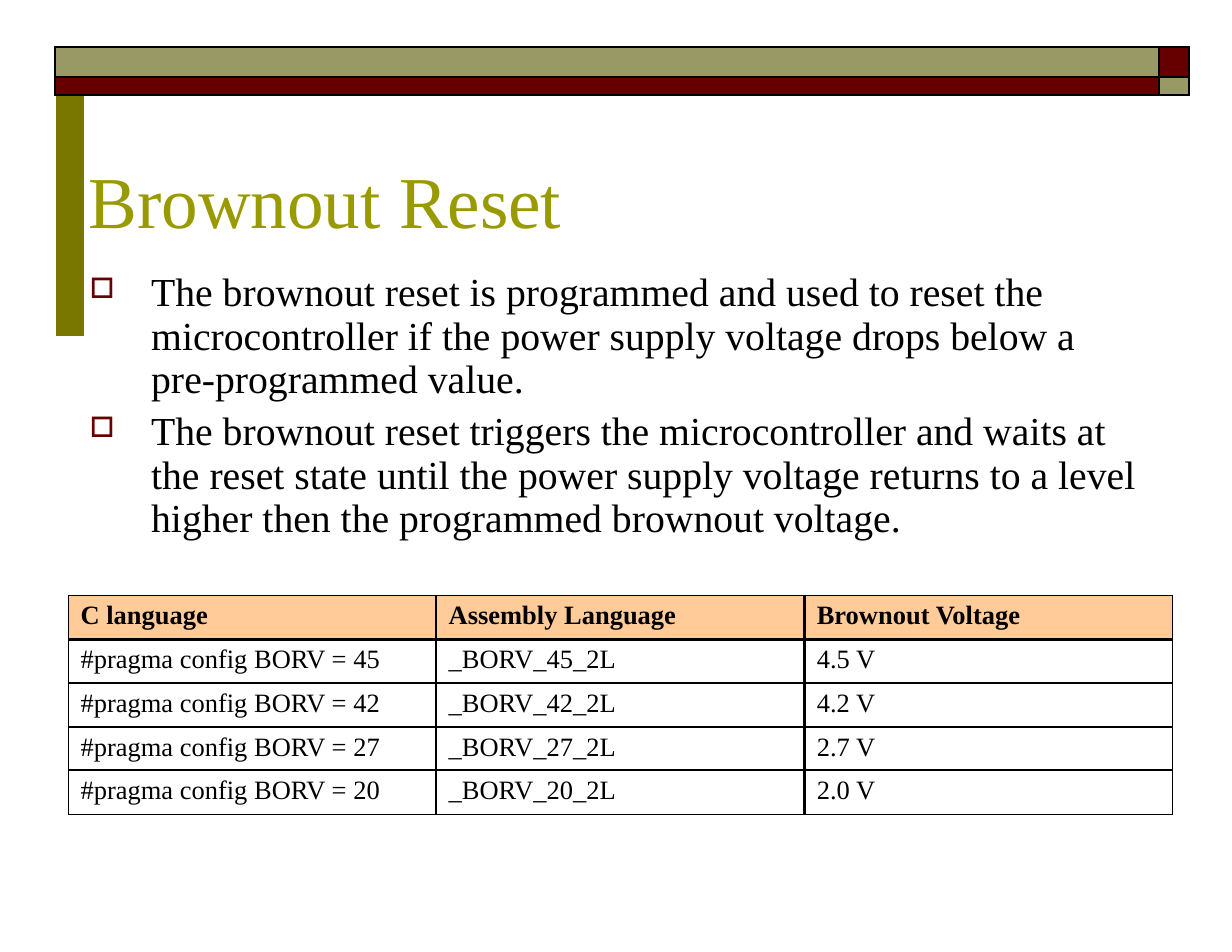
from dataclasses import dataclass
from lxml import etree
from pptx import Presentation
from pptx import util as u
from pptx.dml.color import RGBColor
from pptx.enum import shapes
from pptx.oxml.ns import qn


@dataclass(frozen=True)
class Theme:
    """Colours, type sizes and line widths of the slide."""
    font: str = "Times New Roman"
    ink: str = "000000"
    gold: str = "999900"
    olive: str = "797700"
    sage: str = "999966"
    wine: str = "660000"
    peach: str = "FFCC99"
    title: float = 47
    body: float = 25.5
    cell: float = 17
    tiny: float = 6
    thick: float = 1.5
    thin: float = 0.75


T = Theme()
POINTS = ("The brownout reset is programmed and used to reset the "
          "microcontroller if the power supply voltage drops below a "
          "pre-programmed value.",
          "The brownout reset triggers the microcontroller and waits at "
          "the reset state until the power supply voltage returns to a level "
          "higher then the programmed brownout voltage.")
HEAD = ("C language", "Assembly Language", "Brownout Voltage")
VOLTS = {45: "4.5 V", 42: "4.2 V", 27: "2.7 V", 20: "2.0 V"}


def grid(n):
    """Turn grid steps into a length: 44 columns by 34 rows on the slide."""
    return u.Inches(n / 4)


def node(up, tag, **attrs):
    """Append a drawing element."""
    return etree.SubElement(up, qn("a:" + tag), attrs)


def style(font, size, color=T.ink, bold=False):
    """Set the look of a font."""
    for key, val in {"name": T.font, "size": u.Pt(size), "bold": bold}.items():
        setattr(font, key, val)
    font.color.rgb = RGBColor.from_string(color)


def write(para, words, *look):
    """Put one styled run into a paragraph."""
    run = para.add_run()
    run.text = words
    style(run.font, *look)


def box(slide, area, top):
    """Add a wrapping text box and return its frame."""
    frame = slide.shapes.add_textbox(*map(grid, area)).text_frame
    form = {"word_wrap": True, "margin_left": 0, "margin_right": 0,
            "margin_top": u.Inches(top), "margin_bottom": 0}
    for key, val in form.items():
        setattr(frame, key, val)
    return frame


def bar(slide, area, color):
    """Add a plain filled bar."""
    shape = slide.shapes.add_shape(shapes.MSO_SHAPE.RECTANGLE, *map(grid, area))
    shape.shadow.inherit = False
    shape.fill.solid()
    shape.fill.fore_color.rgb = RGBColor.from_string(color)
    shape.line.fill.background()


def bullets(frame, items):
    """Write hanging paragraphs with square bullets."""
    for i, item in enumerate(items):
        para = frame.add_paragraph() if i else frame.paragraphs[0]
        props = para._p.get_or_add_pPr()
        props.set("marL", str(u.Inches(0.56)))
        props.set("indent", str(-u.Inches(0.55)))
        node(node(props, "buClr"), "srgbClr", val=T.wine)
        node(props, "buSzPct", val="71000")
        node(props, "buChar", char="□")
        para.line_spacing = 0.91
        para.space_before = u.Pt(5.8 if i else 0)
        write(para, item, T.body)


def frame_cell(cell, widths, fill):
    """Draw the four sides of a cell, then its fill."""
    props = cell._tc.get_or_add_tcPr()
    for side, width in zip("LRTB", widths):
        line = node(props, "ln" + side, w=str(u.Pt(width)))
        node(node(line, "solidFill"), "srgbClr", val=T.ink)
    if fill:
        cell.fill.solid()
        cell.fill.fore_color.rgb = RGBColor.from_string(fill)
    else:
        cell.fill.background()


def table(slide, spot, cols, rows):
    """Add an unstyled table with the given column and row steps."""
    made = slide.shapes.add_table(len(rows), len(cols), *map(
        grid, (*spot, sum(cols), sum(rows)))).table
    made.first_row = made.horz_banding = False
    for col, wide in zip(made.columns, cols):
        col.width = grid(wide)
    for row, high in zip(made.rows, rows):
        row.height = grid(high)
    for cell in made.iter_cells():
        for side in ("left", "right", "top", "bottom"):
            setattr(cell, "margin_" + side, 0)
    return made


def band(slide):
    """Add the two-tone band along the top."""
    made = table(slide, (1.96, 1.68), (39.44, 1.08), (1.08, 0.64))
    for i, cell in enumerate(made.iter_cells()):
        frame_cell(cell, [T.thick] * 4, T.sage if i in (0, 3) else T.wine)
        node(cell.text_frame.paragraphs[0]._p, "endParaRPr",
             sz=str(int(T.tiny * 100)))


def volts(slide):
    """Add the table of brownout settings."""
    data = [HEAD] + [(f"#pragma config BORV = {key}", f"_BORV_{key}_2L", val)
                     for key, val in VOLTS.items()]
    wide, high = len(HEAD), len(data)
    made = table(slide, (2.44, 21.28), [39.44 / wide] * wide, [1.56] * high)
    for r, line in enumerate(data):
        for c, words in enumerate(line):
            cell = made.cell(r, c)
            cell.margin_left = u.Inches(0.11)
            cell.margin_top = u.Inches(0.05 if r else 0.04)
            edges = (c == 0, c == wide - 1, r == 0, r == high - 1)
            frame_cell(cell, [T.thin if e else T.thick for e in edges],
                       None if r else T.peach)
            write(cell.text_frame.paragraphs[0], words, T.cell, T.ink, r == 0)


def main():
    """Build the slide and save it."""
    deck = Presentation()
    deck.slide_width, deck.slide_height = grid(44), grid(34)
    slide = deck.slides.add_slide(deck.slide_layouts[6])
    bar(slide, (2, 2, 1, 10), T.olive)
    band(slide)
    title = box(slide, (3.16, 5.32, 18, 3.24), 0.06)
    write(title.paragraphs[0], "Brownout Reset", T.title, T.gold)
    bullets(box(slide, (3.16, 9.48, 37.6, 9.84), 0.06), POINTS)
    volts(slide)
    deck.save("out.pptx")


if __name__ == "__main__":
    main()
